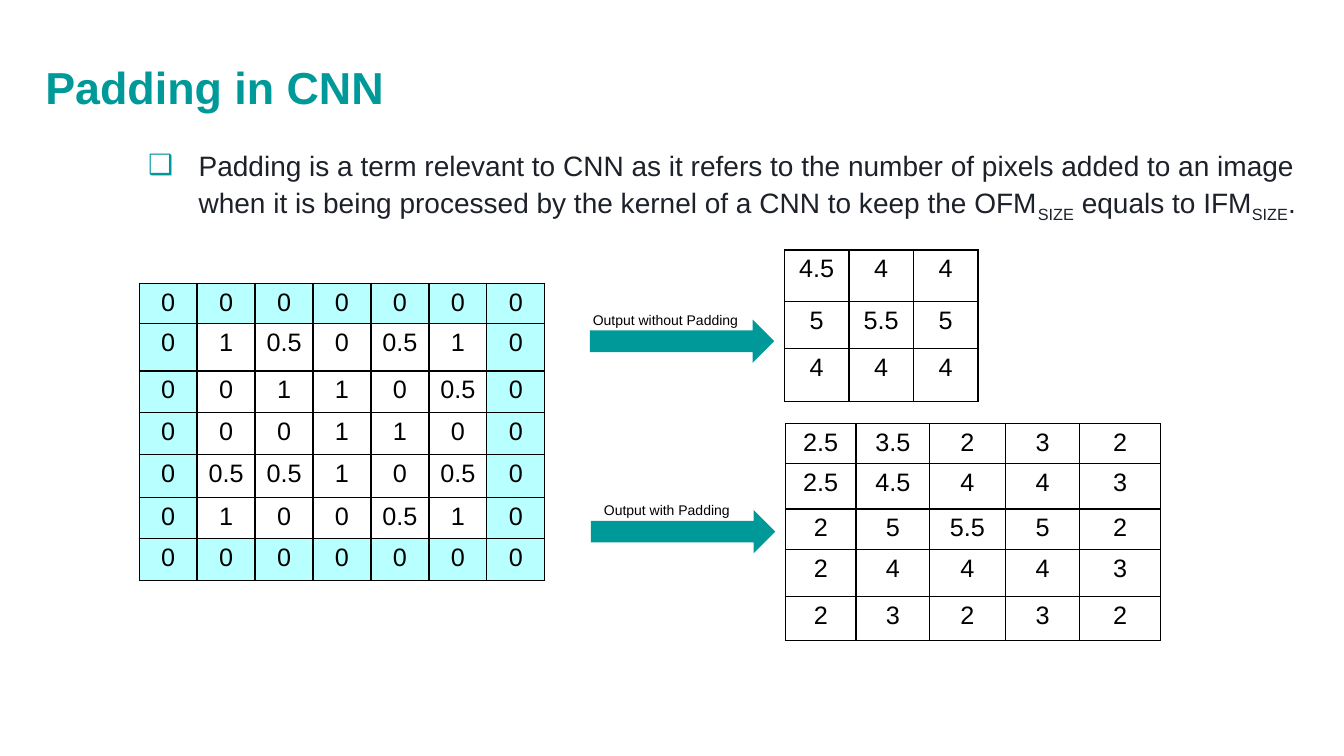
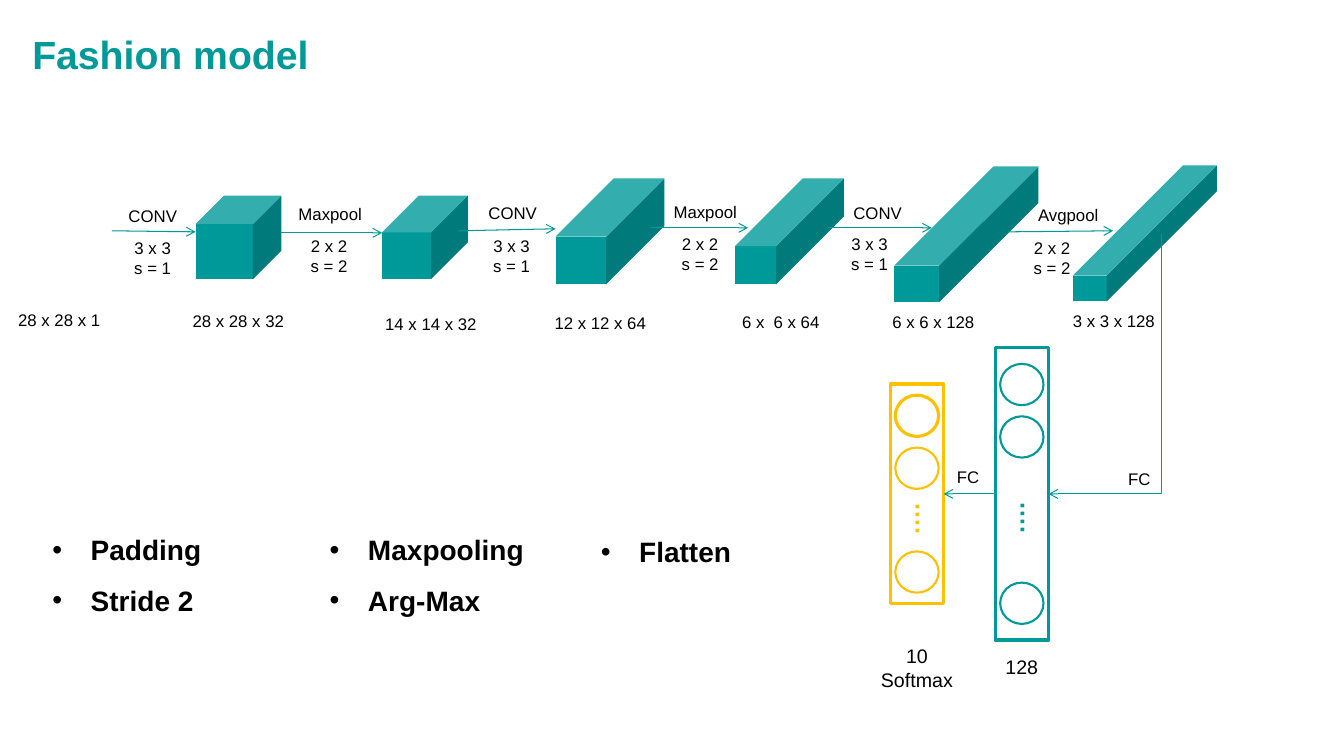
"""Builds two slides on padding and on the layers of a small CNN."""
import lxml.etree
import pptx
import pptx.dml.color
import pptx.enum.shapes
import pptx.enum.text
import pptx.oxml.ns
import pptx.util

PX = 9144
FONT = "Arial"
TEAL = pptx.dml.color.RGBColor(0x00, 0x99, 0x99)
AMBER = pptx.dml.color.RGBColor(0xFF, 0xC0, 0x00)
AQUA = pptx.dml.color.RGBColor(0xB8, 0xFF, 0xFF)
INK = pptx.dml.color.RGBColor(0x1D, 0x21, 0x29)
BLACK = pptx.dml.color.RGBColor(0, 0, 0)
WHITE = pptx.dml.color.RGBColor(0xFF, 0xFF, 0xFF)
SHAPE = pptx.enum.shapes.MSO_SHAPE
CONNECTOR = pptx.enum.shapes.MSO_CONNECTOR
ANCHOR = pptx.enum.text.MSO_ANCHOR
LEFT = pptx.enum.text.PP_ALIGN.LEFT
CENTER = pptx.enum.text.PP_ALIGN.CENTER
Pt = pptx.util.Pt
qn = pptx.oxml.ns.qn

deck = pptx.Presentation()
deck.slide_width = 1333 * PX
deck.slide_height = 750 * PX


def add_page(title, left, top, size):
    page = deck.slides.add_slide(deck.slide_layouts[5])
    box = page.shapes.title
    box.left, box.top, box.width, box.height = left * PX, top * PX, 1079 * PX, 63 * PX
    frame = box.text_frame
    frame.text = title
    frame.auto_size = pptx.enum.text.MSO_AUTO_SIZE.NONE
    frame.vertical_anchor = ANCHOR.BOTTOM
    frame.margin_left = frame.margin_top = 0
    frame.margin_right, frame.margin_bottom = 35 * PX, 2 * PX
    para = frame.paragraphs[0]
    para.alignment = LEFT
    para.line_spacing = 0.9
    para.font.name, para.font.size = FONT, Pt(size)
    para.font.bold, para.font.color.rgb = True, TEAL
    return page


def add_text(page, left, top, width, height, lines, size, colour=BLACK, bold=False,
             align=LEFT, bullet=None, bullet_colour=BLACK, margin=0, hang=0):
    box = page.shapes.add_textbox(left * PX, top * PX, width * PX, height * PX)
    frame = box.text_frame
    frame.word_wrap = True
    frame.margin_left = frame.margin_right = frame.margin_top = frame.margin_bottom = 0
    frame.text = "\n".join(lines)
    for para in frame.paragraphs:
        para.alignment = align
        if bullet:
            props = para._p.get_or_add_pPr()
            props.set("marL", str(margin * PX))
            props.set("indent", str(-hang * PX))
            tint = lxml.etree.SubElement(props, qn("a:buClr"))
            lxml.etree.SubElement(tint, qn("a:srgbClr"), val=str(bullet_colour))
            lxml.etree.SubElement(props, qn("a:buFont"), typeface=FONT)
            lxml.etree.SubElement(props, qn("a:buChar"), char=bullet)
        para.font.name, para.font.size = FONT, Pt(size)
        para.font.bold, para.font.color.rgb = bold, colour
    return box


page = add_page("Padding in CNN", 45, 52, 32)
body = add_text(page, 10, 144, 1313, 90, [""], 20, INK,
                bullet="❑", bullet_colour=TEAL, margin=187, hang=50)
para = body.text_frame.paragraphs[0]
para.line_spacing = 1.1
para.space_after = Pt(3)
for words, subscript in [
    ("Padding is a term relevant to CNN as it refers to the number of pixels added to an image "
     "when it is being processed by the kernel of a CNN to keep the OFM", False),
    ("SIZE", True), (" equals to IFM", False), ("SIZE", True), (".", False),
]:
    span = para.add_run()
    span.text = words
    if subscript:
        span.font._element.set("baseline", "-25000")

with_padding = ["2.5 3.5 2 3 2", "2.5 4.5 4 4 3", "2 5 5.5 5 2", "2 4 4 4 3", "2 3 2 3 2"]
padded_input = ["0 0 0 0 0 0 0", "0 1 0.5 0 0.5 1 0", "0 0 1 1 0 0.5 0", "0 0 0 1 1 0 0",
                "0 0.5 0.5 1 0 0.5 0", "0 1 0 0 0.5 1 0", "0 0 0 0 0 0 0"]
without_padding = ["4.5 4 4", "5 5.5 5", "4 4 4"]
for left, top, widths, heights, rows, edge_fill in [
    (779, 420, [70, 73, 75, 74, 80], [37, 45, 35, 47, 43], with_padding, WHITE),
    (138, 281, [57.5] * 7, [39, 47, 41, 42, 43, 35, 42], padded_input, AQUA),
    (778, 248, [64] * 3, [51, 47, 52], without_padding, WHITE),
]:
    table = page.shapes.add_table(len(rows), len(widths), left * PX, top * PX,
                                  int(sum(widths) * PX), sum(heights) * PX).table
    table.first_row = table.horz_banding = False
    for column, width in zip(table.columns, widths):
        column.width = int(width * PX)
    for r, (values, height) in enumerate(zip(rows, heights)):
        table.rows[r].height = height * PX
        for c, value in enumerate(values.split()):
            cell = table.cell(r, c)
            props = cell._tc.get_or_add_tcPr()
            for side in ("a:lnL", "a:lnR", "a:lnT", "a:lnB"):
                border = lxml.etree.SubElement(props, qn(side), w=str(Pt(1)))
                fill = lxml.etree.SubElement(border, qn("a:solidFill"))
                lxml.etree.SubElement(fill, qn("a:srgbClr"), val=str(BLACK))
            on_edge = r in (0, len(rows) - 1) or c in (0, len(widths) - 1)
            cell.fill.solid()
            cell.fill.fore_color.rgb = edge_fill if on_edge else WHITE
            cell.text = value
            para = cell.text_frame.paragraphs[0]
            para.alignment = CENTER
            para.font.name, para.font.size = FONT, Pt(18)
            para.font.color.rgb = BLACK

for left, top, label, label_left in [
    (585, 317, "Output without Padding", 588),
    (586, 506, "Output with Padding", 599),
]:
    arrow = page.shapes.add_shape(SHAPE.RIGHT_ARROW, left * PX, top * PX, 183 * PX, 43 * PX)
    arrow.shadow.inherit = False
    arrow.fill.solid()
    arrow.fill.fore_color.rgb = TEAL
    arrow.line.fill.background()
    add_text(page, label_left, top - 8, 165, 17, [label], 10)

page = add_page("Fashion model", 32, 16, 28)

for left, top, width, height, depth in [
    (194, 194, 85, 83, 0.34),
    (379, 194, 85, 83, 0.44),
    (551, 177, 108, 105, 0.55),
    (729, 177, 108, 105, 0.64),
    (887, 165, 143, 135, 0.73),
    (1064, 164, 143, 135, 0.81),
]:
    cube = page.shapes.add_shape(SHAPE.CUBE, left * PX, top * PX, width * PX, height * PX)
    cube.adjustments[0] = depth
    cube.shadow.inherit = False
    cube.fill.solid()
    cube.fill.fore_color.rgb = TEAL
    cube.line.fill.background()

for left, top, size_label in [
    (18, 307, "28 x 28 x 1"),
    (191, 308, "28 x 28 x 32"),
    (382, 311, "14 x 14 x 32"),
    (550, 310, "12 x 12 x 64"),
    (736, 309, "6 x  6 x 64"),
    (885, 309, "6 x 6 x 128"),
    (1064, 308, "3 x 3 x 128"),
]:
    add_text(page, left, top, 125, 20, [size_label], 12)

arrows = []
for ends, layer, layer_left, layer_top, kernel, kernel_left, kernel_top in [
    ((111, 229, 194, 230), "CONV", 107, 204, ["3 x 3", "s = 1"], 113, 236),
    ((279, 231, 379, 231), "Maxpool", 283, 202, ["2 x 2", "s = 2"], 288, 234),
    ((454, 229, 551, 227), "CONV", 464, 201, ["3 x 3", "s = 1"], 469, 234),
    ((645, 226, 742, 226), "Maxpool", 655, 200, ["2 x 2", "s = 2"], 656, 232),
    ((821, 226, 924, 226), "CONV", 826, 201, ["3 x 3", "s = 1"], 824, 232),
    ((1000, 230, 1104, 229), "Avgpool", 1015, 203, ["2 x 2", "s = 2"], 1005, 236),
]:
    arrows.append(page.shapes.add_connector(CONNECTOR.STRAIGHT, *[end * PX for end in ends]))
    add_text(page, layer_left, layer_top, 89, 20, [layer], 12, align=CENTER)
    add_text(page, kernel_left, kernel_top, 77, 40, kernel, 12, align=CENTER)

columns = []
for left, top, height, colour, neurons, dots_top, caption, caption_top in [
    (987, 345, 290, TEAL, [(361, 1.5), (413, 1.5), (578, 1.5)], 499, ["128"], 650),
    (883, 381, 218, AMBER, [(392, 2.25), (444, 1.5), (547, 1.5)], 500, ["10", "Softmax"], 639),
]:
    outlines = [(SHAPE.RECTANGLE, left, top, 53, height, 2.25)]
    outlines += [(SHAPE.OVAL, left + 5, y, 43, 41, weight) for y, weight in neurons]
    shapes = []
    for kind, x, y, width, tall, weight in outlines:
        shape = page.shapes.add_shape(kind, x * PX, y * PX, width * PX, tall * PX)
        shape.shadow.inherit = False
        shape.fill.background()
        shape.line.color.rgb = colour
        shape.line.width = Pt(weight)
        shapes.append(shape)
    columns.append(shapes[0])
    dots = add_text(page, left - 11, dots_top, 60, 30, ["…."], 18, colour, True, CENTER)
    dots.rotation = 270
    add_text(page, left - 12, caption_top, 77, 47, caption, 14, align=CENTER)

dense, softmax = columns
flatten_arrow = page.shapes.add_connector(CONNECTOR.ELBOW, 967 * PX, 305 * PX, 1225 * PX, 417 * PX)
flatten_arrow._element.spPr.find(qn("a:prstGeom")).set("prst", "bentConnector2")
flatten_arrow._element.spPr.find(qn("a:xfrm")).set("rot", "5400000")
softmax_arrow = page.shapes.add_connector(CONNECTOR.STRAIGHT, 987 * PX, 490 * PX, 936 * PX, 490 * PX)
softmax_arrow.begin_connect(dense, 1)
softmax_arrow.end_connect(softmax, 3)
for arrow in arrows + [flatten_arrow, softmax_arrow]:
    arrow.line.color.rgb = TEAL
    arrow.line.width = Pt(0.75)
    lxml.etree.SubElement(arrow.line._get_or_add_ln(), qn("a:tailEnd"), type="arrow")
    lxml.etree.SubElement(arrow._element.spPr, qn("a:effectLst"))
for left, top in [(1119, 465), (949, 463)]:
    add_text(page, left, top, 33, 20, ["FC"], 12)

for left, top, height, topics in [
    (52, 510, 102, ["Padding", "Stride 2"]),
    (327, 510, 102, ["Maxpooling", "Arg-Max"]),
    (596, 519, 45, ["Flatten"]),
]:
    box = add_text(page, left, top, 240, height, topics, 20, bold=True,
                   bullet="•", margin=38, hang=38)
    box.text_frame.vertical_anchor = ANCHOR.BOTTOM
    for para in box.text_frame.paragraphs:
        para.line_spacing = 1.5

deck.save("out.pptx")
